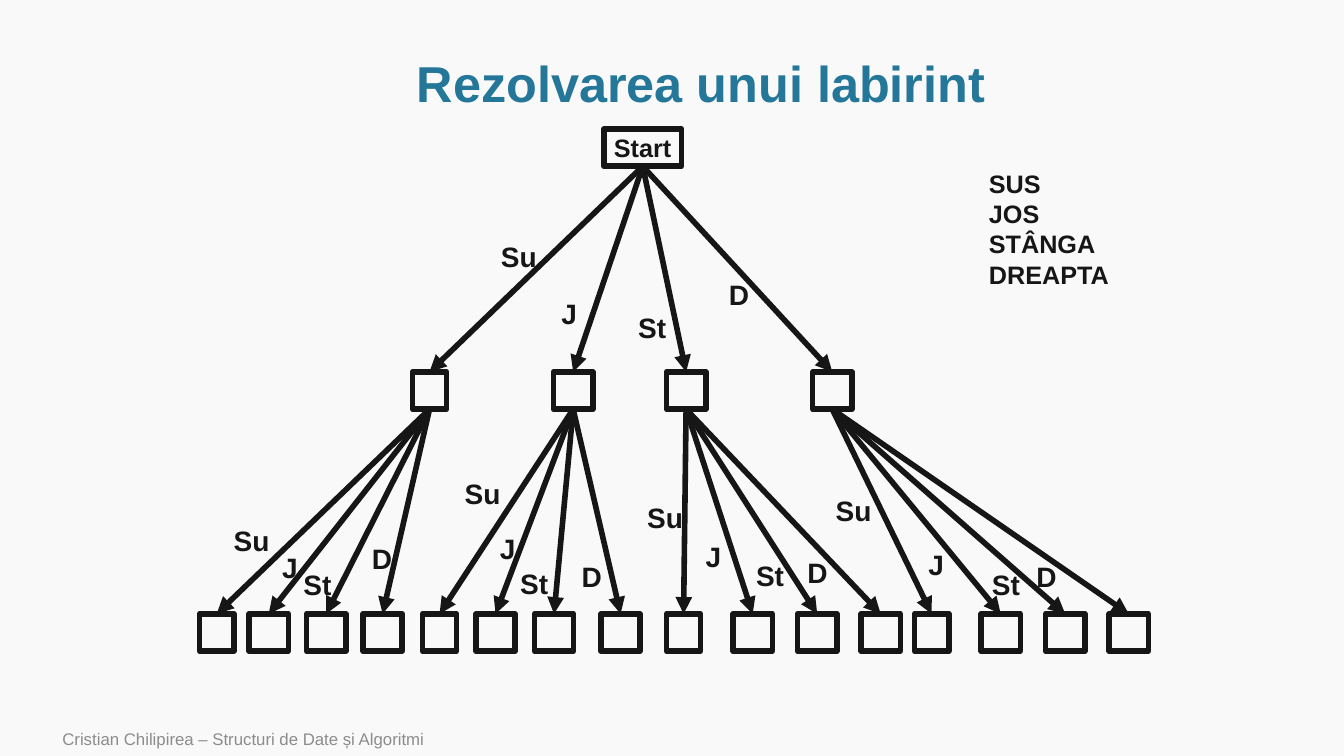
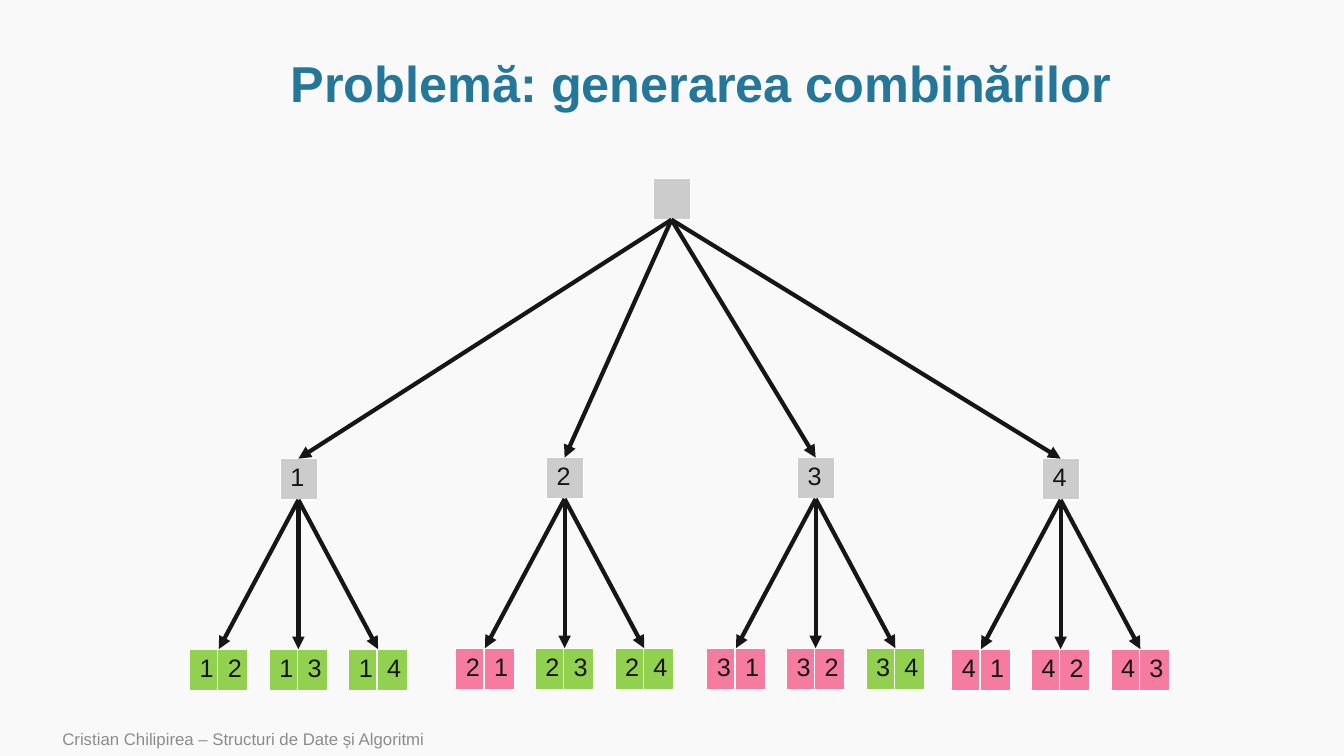
from dataclasses import dataclass

from lxml.etree import SubElement
from pptx import Presentation
from pptx.dml.color import RGBColor
from pptx.enum.shapes import MSO_CONNECTOR, MSO_SHAPE
from pptx.enum.text import MSO_ANCHOR, PP_ALIGN
from pptx.oxml.ns import qn
from pptx.util import Emu, Pt


@dataclass(frozen=True)
class Theme:
    font: str = "Arial"
    background: str = "F9F9F9"
    title: str = "247798"
    ink: str = "171616"
    muted: str = "8C8C8C"
    border: str = "FFFFFF"
    node: str = "CCCCCC"
    kept: str = "92D050"
    rejected: str = "F57BA1"
    title_size: int = 36
    label_size: int = 20
    body_size: int = 18
    footer_size: int = 12
    maze_line: int = 4
    tree_line: int = 3


T = Theme()
EMU_PER_PX = 9144  # 100 px to the inch
FOOTER = "Cristian Chilipirea – Structuri de Date și Algoritmi"

MOVES = ("Su", "J", "St", "D")
MOVE_WIDTHS = (56, 36, 48, 41)
BOX_WIDTHS = (34, 39, 39, 39)
BOX_HEIGHT = 37
NODE_TOP, LEAF_TOP = 369, 609
NODE_LEFTS = (409, 549, 661, 806)
ROOT_LABELS = ((487, 233), (547, 289), (623, 303), (713, 270))
# For each second-level node: left edges of its leaves, places of its labels
BRANCHES = (
    ((198, 247, 304, 360), ((222, 514), (270, 541), (291, 558), (359, 532))),
    ((419, 472, 530, 596), ((451, 468), (486, 522), (506, 557), (567, 550))),
    ((661, 727, 791, 854), ((632, 492), (690, 530), (740, 549), (791, 546))),
    ((907, 973, 1037, 1100), ((819, 485), (911, 538), (974, 558), (1018, 550))),
)

CELL_WIDTH, ROW_HEIGHT = 37, 41
PAIR_WIDTHS = (28, 30)
LEAF_STEP, LEAF_DROP = 79, 189
DIGIT_NODES = {1: (278, 455), 2: (542, 454), 3: (791, 454), 4: (1034, 455)}


def px(*values):
    return [Emu(v * EMU_PER_PX) for v in values]


def rgb(color):
    return RGBColor.from_string(color)


def style(p, size, color=T.ink, bold=False):
    p.font.name = T.font
    p.font.size = Pt(size)
    p.font.bold = bold
    p.font.color.rgb = rgb(color)


def add_text(s, box, lines, size, color=T.ink, bold=False, wrap=True,
             anchor=MSO_ANCHOR.TOP):
    tf = s.shapes.add_textbox(*px(*box)).text_frame
    tf.word_wrap = wrap
    tf.vertical_anchor = anchor
    tf.text = "\n".join(lines)
    for p in tf.paragraphs:
        style(p, size, color, bold)
    return tf


def add_slide(prs, title):
    s = prs.slides.add_slide(prs.slide_layouts[6])
    s.background.fill.solid()
    s.background.fill.fore_color.rgb = rgb(T.background)
    tf = add_text(s, (114, 51, 1163, 69), [title], T.title_size, T.title,
                  bold=True, anchor=MSO_ANCHOR.MIDDLE)
    tf.paragraphs[0].alignment = PP_ALIGN.CENTER
    tf.paragraphs[0].line_spacing = 0.9
    add_text(s, (52, 716, 840, 34), [FOOTER], T.footer_size, T.muted,
             anchor=MSO_ANCHOR.MIDDLE)
    return s


def add_arrow(s, start, end, weight):
    line = s.shapes.add_connector(MSO_CONNECTOR.STRAIGHT, *px(*start, *end))
    line.line.width = Pt(weight)
    line.line.color.rgb = rgb(T.ink)
    sp_pr = line._element.spPr
    SubElement(sp_pr.find(qn("a:ln")), qn("a:tailEnd"), type="triangle")
    SubElement(sp_pr, qn("a:effectLst"))
    return line


def add_box(s, left, top, width, height=BOX_HEIGHT, text=""):
    sp = s.shapes.add_shape(MSO_SHAPE.RECTANGLE, *px(left, top, width, height))
    sp.shadow.inherit = False
    sp.fill.background()
    sp.line.width = Pt(T.maze_line)
    sp.line.color.rgb = rgb(T.ink)
    tf = sp.text_frame
    tf.word_wrap = False
    tf.vertical_anchor = MSO_ANCHOR.MIDDLE
    p = tf.paragraphs[0]
    p.text = text
    p.alignment = PP_ALIGN.LEFT
    style(p, T.body_size, bold=True)
    return sp


def add_children(s, parent, lefts, top):
    """Add a row of boxes, each glued to its parent by an arrow."""
    children = [add_box(s, left, top, width)
                for left, width in zip(lefts, BOX_WIDTHS)]
    for child in children:
        line = add_arrow(s, (0, 0), (0, 0), T.maze_line)
        line.begin_connect(parent, 2)
        line.end_connect(child, 0)
    return children


def add_move_labels(s, places):
    for move, width, place in zip(MOVES, MOVE_WIDTHS, places):
        add_text(s, (*place, width, 44), [move], T.label_size,
                 bold=True, wrap=False)


def set_borders(cell):
    tc_pr = cell._tc.get_or_add_tcPr()
    for side in ("lnL", "lnR", "lnT", "lnB"):
        ln = SubElement(tc_pr, qn(f"a:{side}"), w=str(Pt(1)))
        fill = SubElement(ln, qn("a:solidFill"))
        SubElement(fill, qn("a:srgbClr"), val=T.border)


def add_cells(s, left, top, widths, values, color):
    """Add a one-row table with one value in each column."""
    table = s.shapes.add_table(
        1, len(widths), *px(left, top, sum(widths), ROW_HEIGHT)).table
    table.first_row = table.horz_banding = False
    for column, width, cell, value in zip(
            table.columns, px(*widths), table.rows[0].cells, values):
        column.width = width
        cell.text = str(value)
        style(cell.text_frame.paragraphs[0], T.body_size)
        set_borders(cell)
        cell.fill.solid()
        cell.fill.fore_color.rgb = rgb(color)


def add_maze_slide(prs):
    s = add_slide(prs, "Rezolvarea unui labirint")
    start = add_box(s, 599, 128, 77, text="Start")
    nodes = add_children(s, start, NODE_LEFTS, NODE_TOP)
    add_move_labels(s, ROOT_LABELS)
    for node, (leaf_lefts, label_places) in zip(nodes, BRANCHES):
        add_children(s, node, leaf_lefts, LEAF_TOP)
        add_move_labels(s, label_places)
    add_text(s, (971, 162, 168, 131), ["SUS", "JOS", "STÂNGA", "DREAPTA"],
             T.body_size, bold=True)


def add_combinations_slide(prs):
    s = add_slide(prs, "Problemă: generarea combinărilor")
    root_left, root_top = 648, 177
    add_cells(s, root_left, root_top, [CELL_WIDTH], [""], T.node)
    root_exit = (root_left + CELL_WIDTH // 2, root_top + ROW_HEIGHT)
    for first, (left, top) in DIGIT_NODES.items():
        center = left + CELL_WIDTH // 2
        add_cells(s, left, top, [CELL_WIDTH], [first], T.node)
        add_arrow(s, root_exit, (center, top), T.tree_line)
        seconds = [digit for digit in DIGIT_NODES if digit != first]
        for i, second in enumerate(seconds):
            leaf_center = center + (i - 1) * LEAF_STEP
            leaf_top = top + LEAF_DROP
            add_cells(s, leaf_center - sum(PAIR_WIDTHS) // 2, leaf_top,
                      PAIR_WIDTHS, (first, second),
                      T.kept if first < second else T.rejected)
            add_arrow(s, (center, top + ROW_HEIGHT), (leaf_center, leaf_top),
                      T.tree_line)


def main():
    prs = Presentation()
    prs.slide_width, prs.slide_height = px(1333, 750)
    add_maze_slide(prs)
    add_combinations_slide(prs)
    prs.save("out.pptx")


if __name__ == "__main__":
    main()
